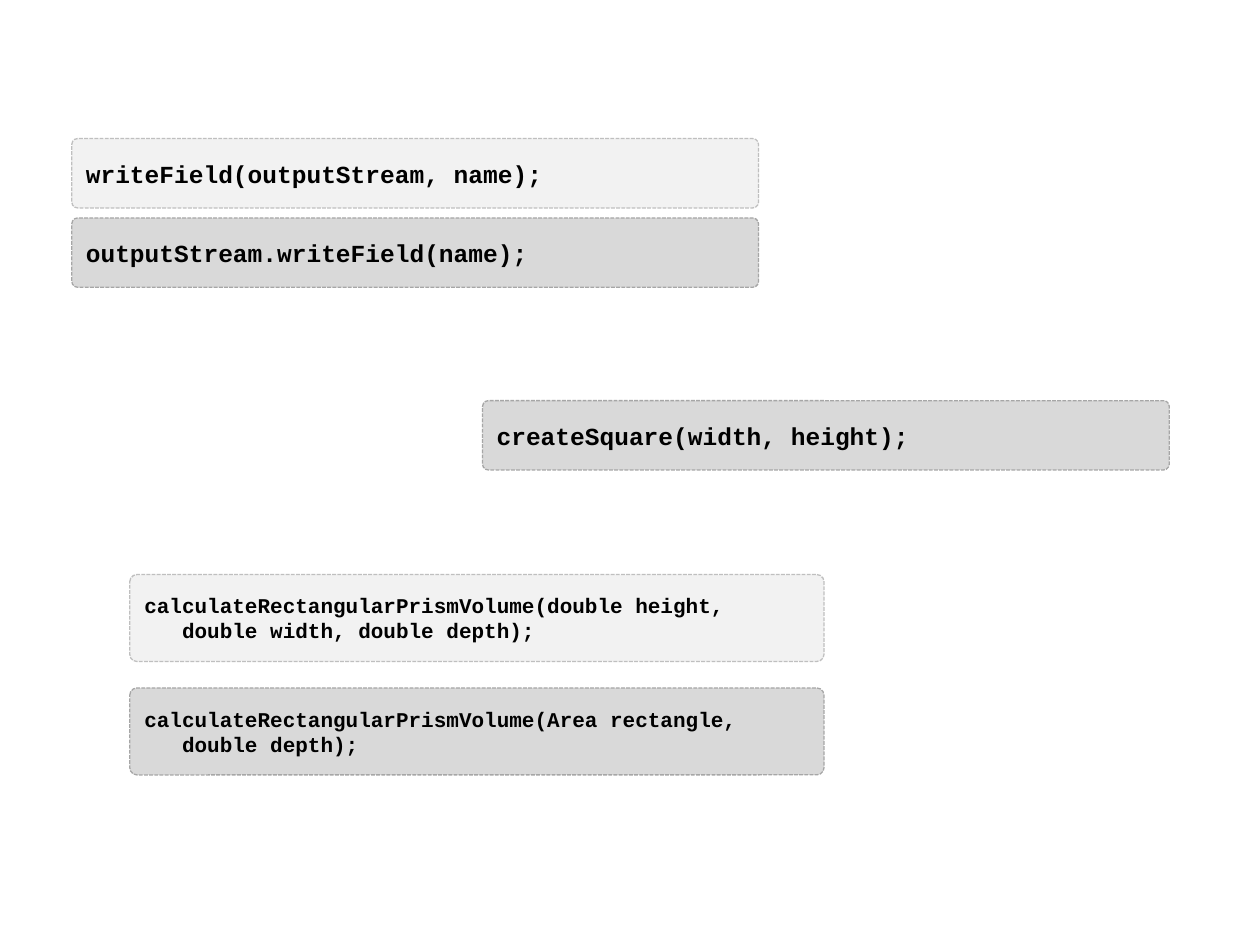
from pptx import Presentation
from pptx.dml.color import RGBColor
from pptx.enum.dml import MSO_LINE
from pptx.enum.shapes import MSO_SHAPE
from pptx.enum.text import MSO_ANCHOR, PP_ALIGN
from pptx.util import Inches, Pt

ROUNDED = MSO_SHAPE.ROUNDED_RECTANGLE
DASHED = MSO_LINE.SQUARE_DOT
MIDDLE = MSO_ANCHOR.MIDDLE
LEFT = PP_ALIGN.LEFT

STYLES = {
    "before": {"fill": "F2F2F2", "line": "BFBFBF"},
    "after": {"fill": "D9D9D9", "line": "A6A6A6"},
}
SHORT = {"width": 5.45, "height": 0.55, "gap": 0.08, "text_size": 14}
LONG = {"width": 5.51, "height": 0.69, "gap": 0.21, "text_size": 12}

EXAMPLES = [
    (0.57, 1.1, SHORT, [
        ("before", ["writeField(outputStream, name);"]),
        ("after", ["outputStream.writeField(name);"]),
    ]),
    (3.83, 3.18, SHORT, [
        ("after", ["createSquare(width, height);"]),
    ]),
    (1.03, 4.56, LONG, [
        ("before", ["calculateRectangularPrismVolume(double height,",
                    "   double width, double depth);"]),
        ("after", ["calculateRectangularPrismVolume(Area rectangle,",
                   "   double depth);"]),
    ]),
]


def color(value):
    return RGBColor.from_string(value)


def add_code_box(slide, left, top, layout, style, lines):
    position = (left, top, layout["width"], layout["height"])
    shape = slide.shapes.add_shape(ROUNDED, *map(Inches, position))
    shape.adjustments[0] = 0.083
    shape.shadow.inherit = False
    shape.fill.solid()
    shape.fill.fore_color.rgb = color(style["fill"])
    shape.line.color.rgb = color(style["line"])
    shape.line.width = Pt(0.75)
    shape.line.dash_style = DASHED

    text_frame = shape.text_frame
    text_frame.word_wrap = True
    text_frame.vertical_anchor = MIDDLE
    text_frame.text = "\n".join(lines)
    font_format = {"name": "Courier New", "size": Pt(layout["text_size"]), "bold": True}
    for paragraph in text_frame.paragraphs:
        paragraph.alignment = LEFT
        font = paragraph.runs[0].font
        for name, value in font_format.items():
            setattr(font, name, value)
        font.color.rgb = color("000000")


def main():
    presentation = Presentation()
    presentation.slide_width = Inches(10)
    presentation.slide_height = Inches(7.5)
    slide = presentation.slides.add_slide(presentation.slide_layouts[6])
    for left, top, layout, boxes in EXAMPLES:
        step = layout["height"] + layout["gap"]
        for row, (style, lines) in enumerate(boxes):
            add_code_box(slide, left, top + row * step, layout, STYLES[style], lines)
    presentation.save("out.pptx")


if __name__ == "__main__":
    main()
